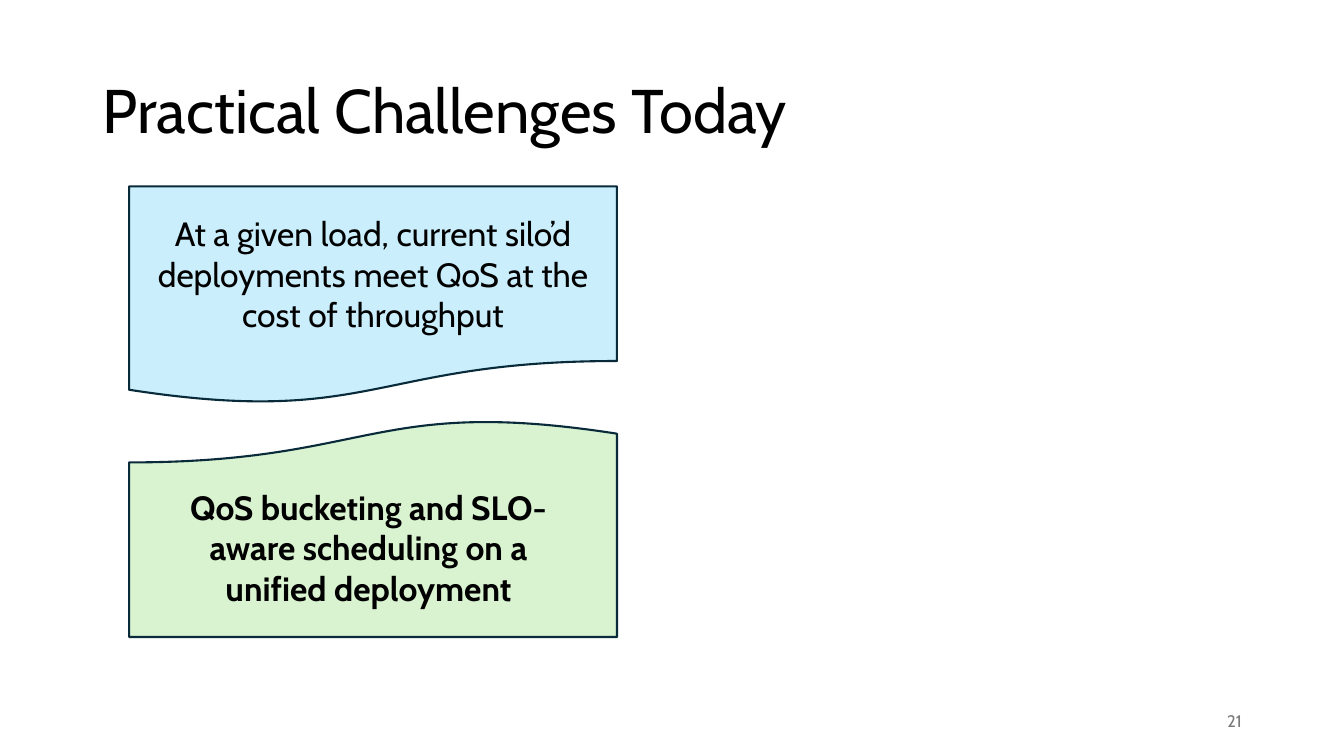
from dataclasses import dataclass

from pptx import Presentation
from pptx.dml.color import RGBColor
from pptx.enum.shapes import MSO_SHAPE
from pptx.enum.text import MSO_ANCHOR, MSO_AUTO_SIZE, PP_ALIGN
from pptx.shapes.autoshape import Shape
from pptx.shapes.shapetree import GroupShapes, SlideShapes
from pptx.util import Pt

COLORS = {
    "text": "000000",
    "page_number": "797979",
    "outline": "092A39",
    "challenge": "CAEEFB",
    "solution": "D9F2D0",
}
FONT = "Cabin"
PANEL_LEFT, PANEL_WIDTH, PANEL_HEIGHT = 92.2, 348.5, 155.5


@dataclass(frozen=True)
class TextStyle:
    size: float
    color: str = "text"
    bold: bool = False
    align: PP_ALIGN = PP_ALIGN.CENTER
    anchor: MSO_ANCHOR = MSO_ANCHOR.MIDDLE
    line_spacing: float = 1.0


@dataclass(frozen=True)
class Panel:
    top: float
    fill: str
    rotation: float = 0


TITLE = TextStyle(44, align=PP_ALIGN.LEFT, line_spacing=0.9)
BODY = TextStyle(24)
BOLD_BODY = TextStyle(24, bold=True, anchor=MSO_ANCHOR.TOP)
PAGE_NUMBER = TextStyle(12, color="page_number", align=PP_ALIGN.RIGHT)

CHALLENGE = Panel(133.2, "challenge")
SOLUTION = Panel(299.5, "solution", rotation=180)


def rgb(name: str) -> RGBColor:
    return RGBColor.from_string(COLORS[name])


def write_text(shape: Shape, text: str, style: TextStyle) -> None:
    frame = shape.text_frame
    frame_format = {
        "word_wrap": True,
        "auto_size": MSO_AUTO_SIZE.NONE,
        "vertical_anchor": style.anchor,
    }
    for name, value in frame_format.items():
        setattr(frame, name, value)
    paragraph = frame.paragraphs[0]
    paragraph.alignment = style.align
    paragraph.line_spacing = style.line_spacing
    run = paragraph.add_run()
    run.text = text
    font_format = {"name": FONT, "size": Pt(style.size), "bold": style.bold}
    for name, value in font_format.items():
        setattr(run.font, name, value)
    run.font.color.rgb = rgb(style.color)


def add_panel(shapes: SlideShapes | GroupShapes, panel: Panel) -> Shape:
    shape = shapes.add_shape(
        MSO_SHAPE.FLOWCHART_DOCUMENT,
        Pt(PANEL_LEFT), Pt(panel.top), Pt(PANEL_WIDTH), Pt(PANEL_HEIGHT),
    )
    shape.shadow.inherit = False
    shape.rotation = panel.rotation
    shape.fill.solid()
    shape.fill.fore_color.rgb = rgb(panel.fill)
    shape.line.color.rgb = rgb("outline")
    shape.line.width = Pt(1.5)
    return shape


def main() -> None:
    presentation = Presentation()
    presentation.slide_width = Pt(960)
    presentation.slide_height = Pt(540)
    slide = presentation.slides.add_slide(presentation.slide_layouts[5])

    title = slide.shapes.title
    title_box = {"left": 66.2, "top": 28.8, "width": 828, "height": 104.4}
    for name, value in title_box.items():
        setattr(title, name, Pt(value))
    write_text(title, "Practical Challenges Today", TITLE)

    write_text(
        add_panel(slide.shapes, CHALLENGE),
        "At a given load, current silo’d deployments meet QoS at the cost of throughput",
        BODY,
    )

    # The flipped panel needs a separate upright caption.
    solution = slide.shapes.add_group_shape()
    add_panel(solution.shapes, SOLUTION)
    caption = solution.shapes.add_textbox(Pt(111.6), Pt(344.2), Pt(303.1), Pt(94.3))
    write_text(
        caption,
        "QoS bucketing and SLO-aware scheduling on a unified deployment",
        BOLD_BODY,
    )

    page_number = slide.shapes.add_textbox(Pt(678.2), Pt(500.4), Pt(216), Pt(28.8))
    write_text(page_number, "21", PAGE_NUMBER)

    presentation.save("out.pptx")


if __name__ == "__main__":
    main()
